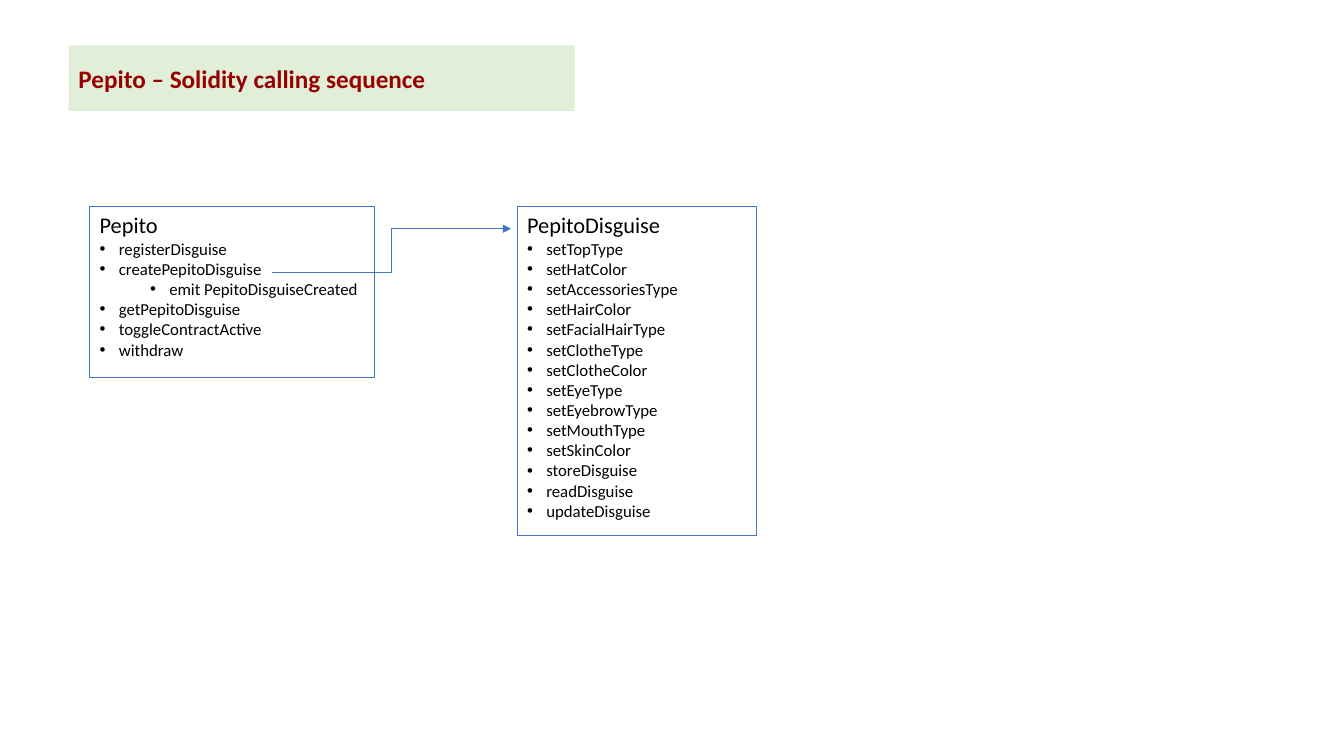
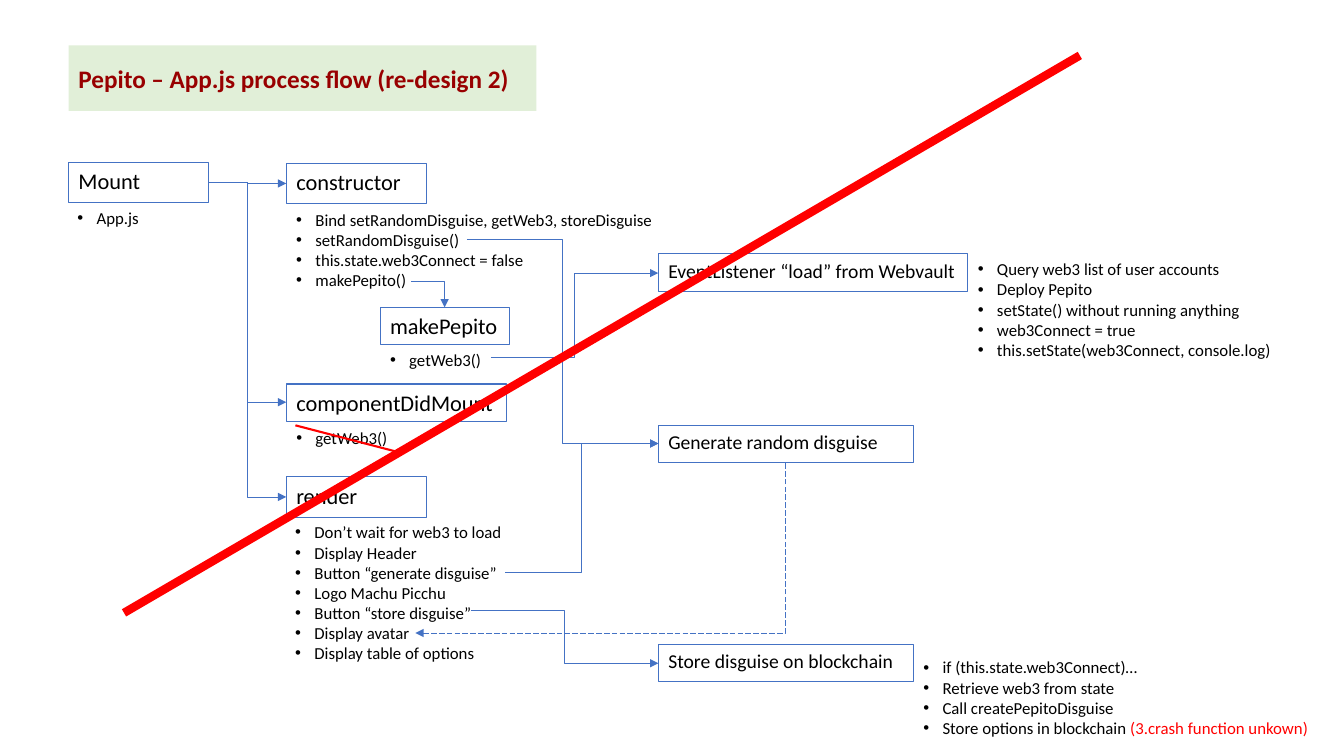
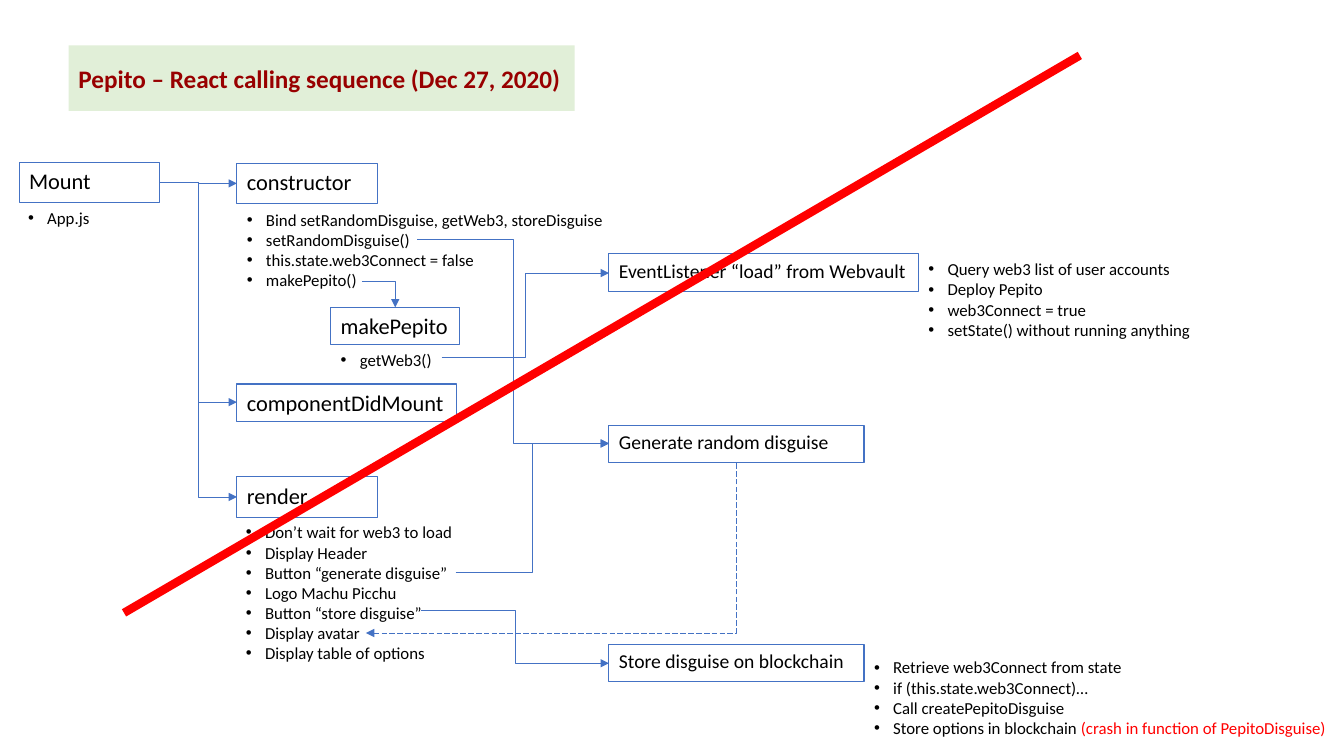
import pptx
import pptx.util
import pptx.dml.color
import pptx.enum.dml
import pptx.enum.shapes
import pptx.enum.text
import pptx.oxml.ns
from lxml import etree

Inches, Pt = pptx.util.Inches, pptx.util.Pt
qn = pptx.oxml.ns.qn
color = pptx.dml.color.RGBColor.from_string
KIND = pptx.enum.shapes.MSO_CONNECTOR
MID = pptx.enum.text.MSO_ANCHOR.MIDDLE
TOP = pptx.enum.text.MSO_ANCHOR.TOP

BLUE, RED, BLACK, MAROON, GREEN = "4472C4", "FF0000", "000000", "980000", "E1EFD8"
TITLE = {"name": "Calibri", "size": Pt(18), "bold": True}
HEAD = {"name": "Calibri", "size": Pt(16)}
STEP = {"name": "Calibri", "size": Pt(14)}
ITEM = {"name": "Calibri", "size": Pt(12)}


def box(slide, at, head="", font=HEAD, ink=BLACK, fill=None, line=None,
        items=(), sub=(), note=""):
    """Add a heading and bullets; sub holds indented bullets, note ends the last in red."""
    at = [Inches(v) for v in at]
    if fill or line:
        shape = slide.shapes.add_shape(pptx.enum.shapes.MSO_SHAPE.RECTANGLE, *at)
        shape.shadow.inherit = False
    else:
        shape = slide.shapes.add_textbox(*at)
    for part, tint in ((shape.fill, fill), (shape.line.fill, line)):
        if tint:
            part.solid()
            part.fore_color.rgb = color(tint)
        else:
            part.background()
    if line:
        shape.line.width = Pt(0.75)
    frame = shape.text_frame
    frame.word_wrap = True
    frame.margin_right = 0
    frame.vertical_anchor = MID if fill else TOP
    rows = [(head, font, ink)] if head else []
    rows += [(item, ITEM, BLACK) for item in items]
    for i, (text, style, tint) in enumerate(rows):
        para = frame.paragraphs[0] if i == 0 else frame.add_paragraph()
        para.alignment = pptx.enum.text.PP_ALIGN.LEFT
        if style is ITEM:
            props = para._p.get_or_add_pPr()
            props.set("marL", str(Inches(0.69 if text in sub else 0.19)))
            props.set("indent", str(Inches(-0.19)))
            etree.SubElement(props, qn("a:buFont")).set("typeface", "Arial")
            etree.SubElement(props, qn("a:buChar")).set("char", "•")
        runs = [(text, tint)]
        if note and i == len(rows) - 1:
            runs.append((note, RED))
        for words, hue in runs:
            run = para.add_run()
            run.text = words
            run.font.color.rgb = color(hue)
            for key, value in style.items():
                setattr(run.font, key, value)


def link(slide, ends, kind=KIND.ELBOW, ink=BLUE, width=0.5, tip="tailEnd",
         corner=False, dash=False):
    """Add a line between two points; corner gives it a single bend."""
    wire = slide.shapes.add_connector(kind, *[Inches(v) for v in ends])
    wire.line.color.rgb = color(ink)
    wire.line.width = Pt(width)
    if dash:
        wire.line.dash_style = pptx.enum.dml.MSO_LINE.LONG_DASH
    props = wire._element.spPr
    if corner:
        props.find(qn("a:prstGeom")).set("prst", "bentConnector2")
    if tip:
        etree.SubElement(wire.line._get_or_add_ln(), qn("a:" + tip)).set("type", "triangle")
    etree.SubElement(props, qn("a:effectLst"))


deck = pptx.Presentation()
deck.slide_width, deck.slide_height = Inches(13.33), Inches(7.5)

pages = []
for title, width in (
    ("Pepito – Solidity calling sequence", 5.02),
    ("Pepito – App.js process flow (re-design 2)", 4.64),
    ("Pepito – React calling sequence (Dec 27, 2020)", 5.02),
):
    page = deck.slides.add_slide(deck.slide_layouts[6])
    box(page, (0.68, 0.45, width, 0.65), title, TITLE, MAROON, fill=GREEN)
    pages.append(page)
calls, draft, final = pages

# Contract calls
emit = "emit PepitoDisguiseCreated"
box(calls, (0.89, 2.05, 2.82, 1.7), "Pepito", line=BLUE, sub=(emit,), items=(
    "registerDisguise", "createPepitoDisguise", emit, "getPepitoDisguise",
    "toggleContractActive", "withdraw"))
link(calls, (2.7, 2.7, 5.07, 2.27))
box(calls, (5.13, 2.05, 2.37, 3.26), "PepitoDisguise", line=BLUE, items=(
    "setTopType", "setHatColor", "setAccessoriesType", "setHairColor",
    "setFacialHairType", "setClotheType", "setClotheColor", "setEyeType",
    "setEyebrowType", "setMouthType", "setSkinColor", "storeDisguise",
    "readDisguise", "updateDisguise"))

# Process flow, drawn on both pages with a sideways shift
BOXES = (
    ("Mount", HEAD, 0.68, 1.61, 1.39, 0.4),
    ("constructor", HEAD, 2.84, 1.62, 1.39, 0.4),
    ("makePepito", HEAD, 3.77, 3.05, 1.28, 0.37),
    ("componentDidMount", HEAD, 2.84, 3.81, 2.18, 0.37),
    ("render", HEAD, 2.84, 4.73, 1.39, 0.4),
    ("EventListener “load” from Webvault", STEP, 6.53, 2.52, 3.07, 0.37),
    ("Generate random disguise", STEP, 6.53, 4.22, 2.53, 0.37),
    ("Store disguise on blockchain", STEP, 6.53, 6.39, 2.53, 0.37),
)
LISTS = (
    ((0.67, 2.01, 0.81, 0.3), ("App.js",)),
    ((2.84, 2.03, 3.77, 0.91), (
        "Bind setRandomDisguise, getWeb3, storeDisguise", "setRandomDisguise()",
        "this.state.web3Connect = false", "makePepito()")),
    ((3.77, 3.42, 1.11, 0.3), ("getWeb3()",)),
    ((2.83, 5.13, 2.27, 1.51), (
        "Don’t wait for web3 to load", "Display Header", "Button “generate disguise”",
        "Logo Machu Picchu", "Button “store disguise”", "Display avatar",
        "Display table of options")),
)
LINKS = (
    ((2.07, 1.81, 2.84, 1.82), {}),
    ((2.07, 1.81, 2.84, 3.99), {}),
    ((2.07, 1.81, 2.84, 4.93), {}),
    ((4.63, 2.37, 6.53, 4.4), {}),
    ((4.87, 3.55, 6.53, 2.71), {}),
    ((5.01, 5.68, 6.53, 4.4), {}),
    ((4.67, 6.06, 6.53, 6.58), {}),
    ((4.08, 2.79, 4.41, 3.05), {"corner": True}),
    ((4.12, 6.28, 7.79, 4.59), {"corner": True, "dash": True, "tip": "headEnd"}),
)
ASK, SET = "Query web3 list of user accounts", "setState() without running anything"
ON, TEST = "web3Connect = true", "if (this.state.web3Connect)…"
LAST = ("Call createPepitoDisguise", "Store options in blockchain ")

for page, shift, load, store, note in (
    (draft, 0, (ASK, "Deploy Pepito", SET, ON, "this.setState(web3Connect, console.log)"),
     (TEST, "Retrieve web3 from state") + LAST, "(3.crash function unkown)"),
    (final, 0.49, (ASK, "Deploy Pepito", ON, SET),
     ("Retrieve web3Connect from state", TEST) + LAST,
     "(crash in function of PepitoDisguise)"),
):
    for text, font, left, top, width, height in BOXES:
        box(page, (left - shift, top, width, height), text, font, line=BLUE)
    for (left, top, width, height), items in LISTS:
        box(page, (left - shift, top, width, height), items=items)
    box(page, (9.6 - shift, 2.52, 3.14, 0.2 * len(load) + 0.11), items=load)
    box(page, (9.06 - shift, 6.47, 4.72 if shift else 4.06, 0.91), items=store, note=note)
    for (x1, y1, x2, y2), look in LINKS:
        link(page, (x1 - shift, y1, x2 - shift, y2), **look)

# Red strike-out lines
box(draft, (2.84, 4.19, 1.11, 0.3), items=("getWeb3()",))
for page, ends, width in (
    (draft, (3.93, 4.48, 2.93, 4.22), 1.5),
    (draft, (1.23, 6.08, 10.71, 0.55), 6),
    (final, (1.23, 6.08, 10.71, 0.55), 6),
):
    link(page, ends, KIND.STRAIGHT, RED, width, tip=None)

deck.save("out.pptx")
